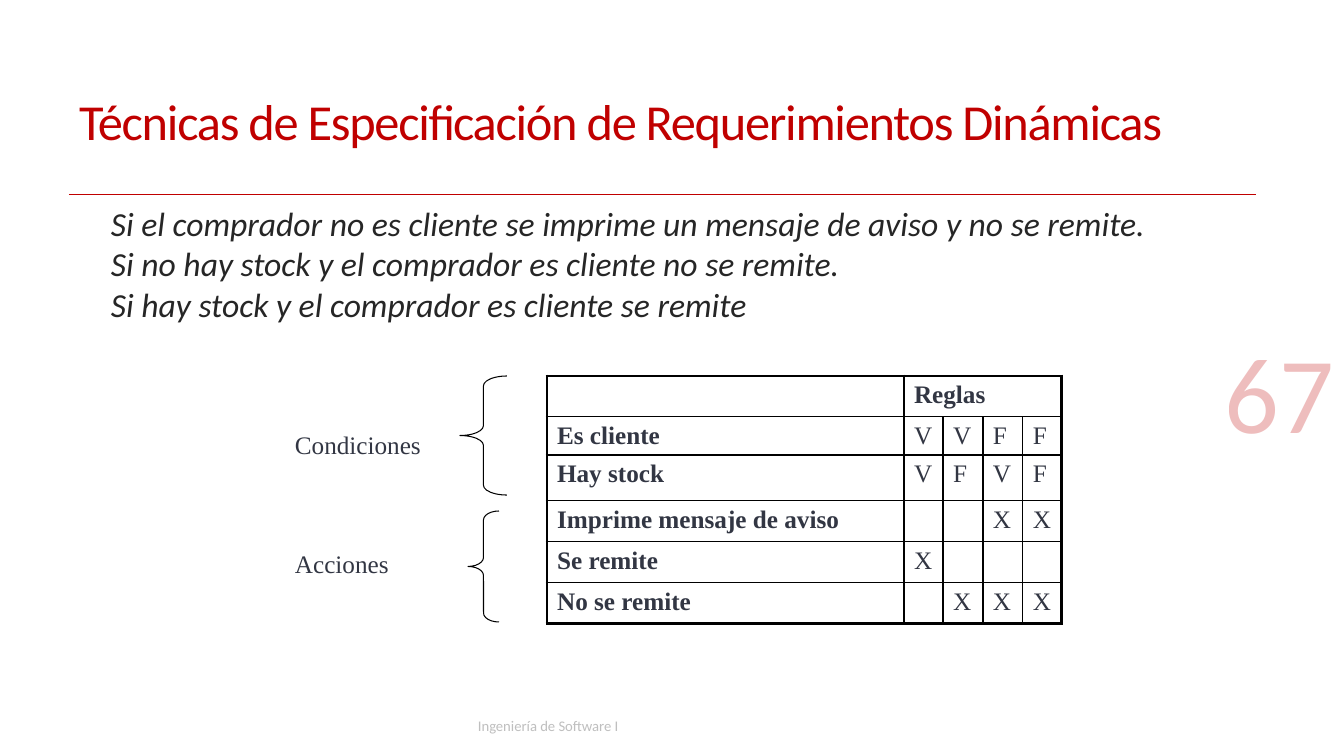
from dataclasses import dataclass
from itertools import accumulate

from lxml import etree
from pptx import Presentation
from pptx.dml.color import RGBColor
from pptx.enum.shapes import MSO_CONNECTOR, MSO_SHAPE
from pptx.enum.text import MSO_ANCHOR, MSO_AUTO_SIZE, PP_ALIGN
from pptx.oxml.ns import qn
from pptx.util import Pt

LEFT, RIGHT = PP_ALIGN.LEFT, PP_ALIGN.RIGHT
TOP, MIDDLE, BOTTOM = MSO_ANCHOR.TOP, MSO_ANCHOR.MIDDLE, MSO_ANCHOR.BOTTOM
NO_FIT = MSO_AUTO_SIZE.NONE
STRAIGHT = MSO_CONNECTOR.STRAIGHT
LEFT_BRACE = MSO_SHAPE.LEFT_BRACE


@dataclass(frozen=True)
class Theme:
    accent: str = "C00000"
    body: str = "262626"
    table: str = "323643"
    muted: str = "BFBFBF"
    line: str = "000000"
    sans: str = "Calibri"
    serif: str = "Times New Roman"
    title_size: float = 36
    rule_size: float = 24
    table_size: float = 18
    footer_size: float = 10.5
    number_size: float = 77.2
    thin: float = 0.75
    inner: float = 1
    outer: float = 2.25


THEME = Theme()

TITLE = "Técnicas de Especificación de Requerimientos Dinámicas"
STATEMENTS = [
    "Si el comprador no es cliente se imprime un mensaje de aviso y no se remite.",
    "Si no hay stock y el comprador es cliente no se remite.",
    "Si hay stock y el comprador es cliente se remite",
]
FOOTER = "Ingeniería de Software I"
PAGE_NUMBER = "67"
DECISIONS = [
    ("", "Reglas", "", "", ""),
    ("Es cliente", "V", "V", "F", "F"),
    ("Hay stock", "V", "F", "V", "F"),
    ("Imprime mensaje de aviso", "", "", "X", "X"),
    ("Se remite", "X", "", "", ""),
    ("No se remite", "", "X", "X", "X"),
]
COLUMN_WIDTHS = [357, 39, 40, 40, 39]
ROW_HEIGHTS = [40, 38, 46, 41, 38, 40]
TABLE_LEFT, TABLE_TOP = 547, 376

# label, label top, brace (left, top, width, height), brace curve
GROUPS = [
    ("Condiciones", 424, (460, 376, 47, 119), 0.21),
    ("Acciones", 543, (468, 511, 31, 111), 0.29),
]
LABEL_LEFT, LABEL_WIDTH, LABEL_HEIGHT = 285, 158, 40


def px(length):
    return round(length * 914400 / 100.8)


def write(frame, text, font=THEME.sans, size=THEME.table_size, color=THEME.body,
          bold=False, italic=False, align=LEFT, anchor=TOP, line_spacing=None,
          space_before=0, tracking=None, alpha=None):
    """Fill a text frame, one paragraph for each line of text."""
    frame.word_wrap = True
    frame.vertical_anchor = anchor
    for index, line in enumerate(text.split("\n")):
        para = frame.add_paragraph() if index else frame.paragraphs[0]
        para.alignment = align
        para.space_before = Pt(space_before if index else 0)
        if line_spacing:
            para.line_spacing = line_spacing
        span = para.add_run()
        span.text = line
        span.font.name = font
        span.font.size = Pt(size)
        span.font.bold = bold
        span.font.italic = italic
        span.font.color.rgb = RGBColor.from_string(color)
        if tracking:
            span.font._element.set("spc", str(round(tracking * 100)))
        if alpha:
            tint = span.font._element.find(".//" + qn("a:srgbClr"))
            etree.SubElement(tint, qn("a:alpha"), val=str(alpha * 1000))


def add_text(page, area, text, **style):
    box = page.shapes.add_textbox(*map(px, area))
    box.text_frame.auto_size = NO_FIT
    write(box.text_frame, text, **style)


def set_line(shape, color):
    shape.line.color.rgb = RGBColor.from_string(color)
    shape.line.width = Pt(THEME.thin)


def add_title(page):
    title = page.shapes.title
    title.left, title.top, title.width, title.height = map(px, (69, 55, 1191, 140))
    title.text_frame.auto_size = NO_FIT
    write(title.text_frame, TITLE, size=THEME.title_size, color=THEME.accent,
          anchor=MIDDLE, line_spacing=0.85, tracking=-0.9)
    rule = page.shapes.add_connector(STRAIGHT, *map(px, (69, 195, 1256, 195)))
    set_line(rule, THEME.accent)
    etree.SubElement(rule._element.spPr, qn("a:effectLst"))


def set_borders(cell, widths):
    """Draw cell borders, with widths in points for left, right, top, bottom."""
    properties = cell._tc.get_or_add_tcPr()
    for index, (side, width) in enumerate(zip("LRTB", widths)):
        border = etree.Element(qn(f"a:ln{side}"), w=str(Pt(width)))
        fill = etree.SubElement(border, qn("a:solidFill"))
        etree.SubElement(fill, qn("a:srgbClr"), val=THEME.line)
        properties.insert(index, border)


def add_decision_table(page):
    last_row, last_column = len(ROW_HEIGHTS) - 1, len(COLUMN_WIDTHS) - 1
    area = (TABLE_LEFT, TABLE_TOP, sum(COLUMN_WIDTHS), sum(ROW_HEIGHTS))
    table = page.shapes.add_table(last_row + 1, last_column + 1, *map(px, area)).table
    table.first_row = table.horz_banding = False
    for column, width in zip(table.columns, COLUMN_WIDTHS):
        column.width = px(width)
    for row, height in zip(table.rows, ROW_HEIGHTS):
        row.height = px(height)
    for r, values in enumerate(DECISIONS):
        for c, value in enumerate(values):
            cell = table.cell(r, c)
            cell.fill.background()
            edges = (c == 0, c == last_column or (r == 0 and c > 0),
                     r == 0, r == last_row)
            set_borders(cell, [THEME.outer if edge else THEME.inner for edge in edges])
            if value:
                write(cell.text_frame, value, font=THEME.serif, color=THEME.table,
                      bold=r == 0 or c == 0)
    table.cell(0, 1).merge(table.cell(0, last_column))


def add_groups(page):
    for label, label_top, brace_area, curve in GROUPS:
        brace = page.shapes.add_shape(LEFT_BRACE, *map(px, brace_area))
        brace.shadow.inherit = False
        brace.fill.background()
        set_line(brace, THEME.line)
        brace.adjustments[0] = curve
        add_text(page, (LABEL_LEFT, label_top, LABEL_WIDTH, LABEL_HEIGHT), label,
                 font=THEME.serif, color=THEME.table)


def main():
    deck = Presentation()
    deck.slide_width, deck.slide_height = px(1344), px(756)
    page = deck.slides.add_slide(deck.slide_layouts[5])
    add_title(page)
    add_text(page, (468, 712, 572, 40), FOOTER, size=THEME.footer_size,
             color=THEME.muted)
    add_text(page, (1021, 306, 323, 154), PAGE_NUMBER, size=THEME.number_size,
             color=THEME.accent, align=RIGHT, anchor=BOTTOM, alpha=25)
    add_text(page, (101, 204, 1174, 127), "\n".join(STATEMENTS),
             size=THEME.rule_size, italic=True, line_spacing=0.85, space_before=4.5)
    add_decision_table(page)
    add_groups(page)
    deck.save("out.pptx")


if __name__ == "__main__":
    main()
